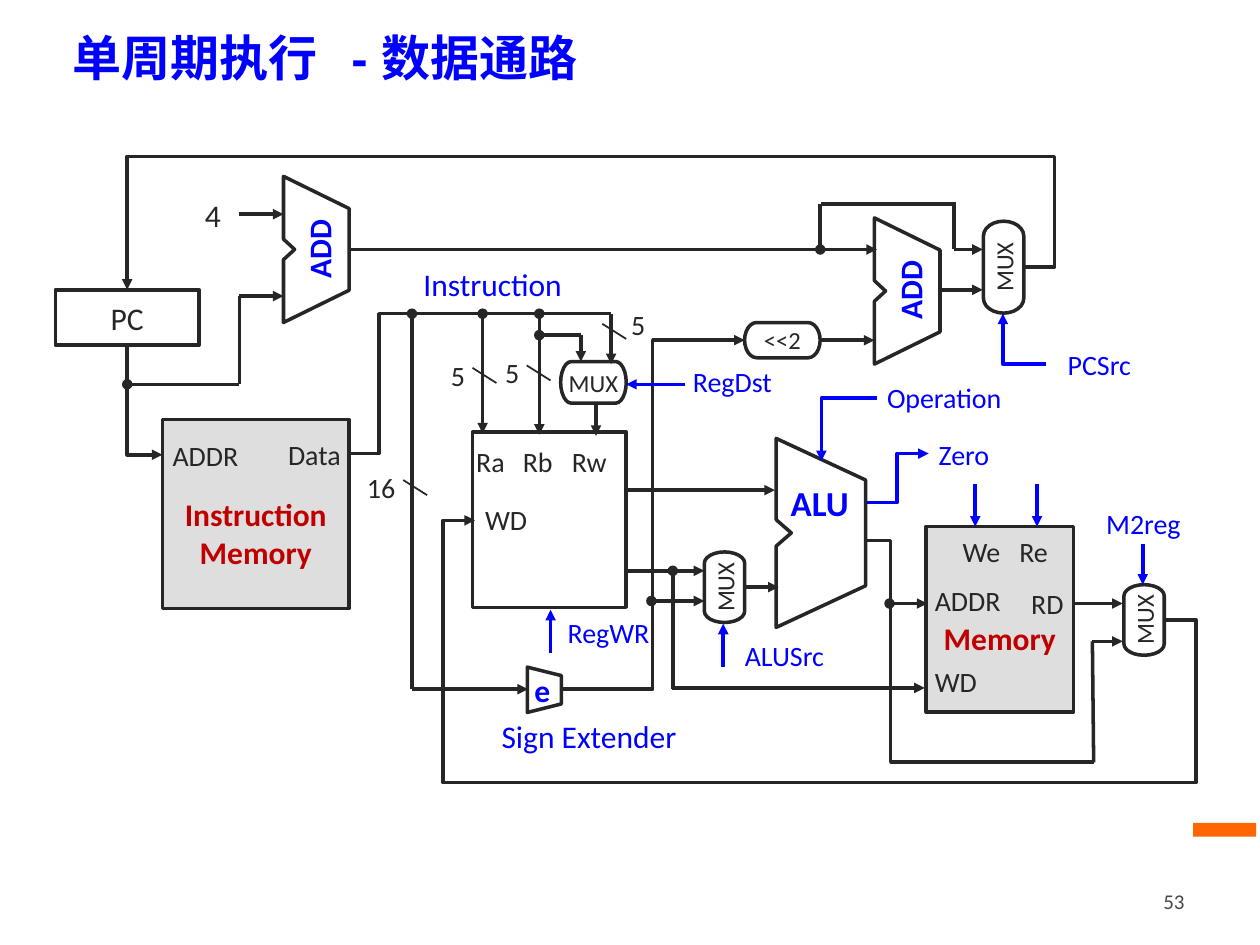
from itertools import count

from lxml import etree
from pptx import Presentation
from pptx import util as u
from pptx.dml.color import RGBColor
from pptx.enum import shapes, text
from pptx.oxml.ns import qn

COLUMNS, ROWS = 10, 7.5
CELL = u.Inches(1)
INK, SIGNAL, STORE, GREY = "262626", "0000FF", "C00000", "DEDEDE"
LEFT, CENTER, RIGHT = text.PP_ALIGN.LEFT, text.PP_ALIGN.CENTER, text.PP_ALIGN.RIGHT
RECT = shapes.MSO_SHAPE.RECTANGLE
PILL = shapes.MSO_SHAPE.FLOWCHART_TERMINATOR


def color(value):
    return RGBColor.from_string(value)


def cells(*values):
    return [round(value * CELL) for value in values]


class Diagram:
    """Style and current slide; lengths are grid columns and rows."""

    font = "Calibri"
    weight = 2

    def __init__(self, slide):
        self.slide = slide

    def set_words(self, shape, words, size=16, ink=INK, bold=False, align=CENTER,
                  insets=(0, 0, 0, 0), tabs=(), font=None):
        frame = shape.text_frame
        frame.text = words
        frame.word_wrap = True
        frame.vertical_anchor = text.MSO_ANCHOR.MIDDLE
        (frame.margin_left, frame.margin_top,
         frame.margin_right, frame.margin_bottom) = cells(*insets)
        for line in frame.paragraphs:
            line.alignment = align
            if tabs:
                stops = etree.SubElement(line._p.get_or_add_pPr(), qn("a:tabLst"))
                for stop in cells(*tabs):
                    etree.SubElement(stops, qn("a:tab"), pos=str(stop), algn="l")
            for run in line.runs:
                run.font.name = font or self.font
                run.font.size = u.Pt(size)
                run.font.bold = bold
                run.font.color.rgb = color(ink)

    def paint(self, shape, fill=None, line=INK):
        shape.shadow.inherit = False
        if fill:
            shape.fill.solid()
            shape.fill.fore_color.rgb = color(fill)
        else:
            shape.fill.background()
        if line:
            shape.line.color.rgb = color(line)
            shape.line.width = u.Pt(self.weight)
        else:
            shape.line.fill.background()

    def block(self, place, words="", kind=RECT, fill=None, line=INK, turn=0, **style):
        shape = self.slide.shapes.add_shape(kind, *cells(*place))
        shape.rotation = turn
        self.paint(shape, fill, line)
        if words:
            self.set_words(shape, words, **style)
        return shape

    def label(self, place, words, turn=0, insets=(0.08, 0, 0, 0), **style):
        box = self.slide.shapes.add_textbox(*cells(*place))
        box.rotation = turn
        self.set_words(box, words, insets=insets, **style)

    def adder(self, left, top, width, height):
        """Trapezoid with a notch halfway down its left side."""
        outline = [(0, 0), (1, 0.22), (1, 0.78), (0, 1),
                   (0, 0.57), (0.17, 0.5), (0, 0.43)]
        points = [cells(left + x * width, top + y * height) for x, y in outline]
        builder = self.slide.shapes.build_freeform(*points[0])
        builder.add_line_segments(points[1:], close=True)
        self.paint(builder.convert_to_shape())

    def wire(self, *route, ink=INK, head=None, tail="triangle", weight=None):
        """Connector along a route that leaves sideways when it has corners."""
        (x0, y0), (x1, y1) = route[0], route[-1]
        bent = len(route) > 2
        kind = shapes.MSO_CONNECTOR.ELBOW if bent else shapes.MSO_CONNECTOR.STRAIGHT
        line = self.slide.shapes.add_connector(kind, *cells(x0, y0, x1, y1))
        line.line.color.rgb = color(ink)
        line.line.width = u.Pt(weight or self.weight)
        properties = line.element.spPr
        if bent:
            preset = properties.find(qn("a:prstGeom"))
            preset.set("prst", f"bentConnector{len(route) - 1}")
            guides = preset.find(qn("a:avLst"))
            # Corners bend at a share of the width and of the height in turn
            for number, (x, y) in zip(count(1), route[1:-2]):
                share = (x - x0) / (x1 - x0) if number % 2 else (y - y0) / (y1 - y0)
                etree.SubElement(guides, qn("a:gd"), name=f"adj{number}",
                                 fmla=f"val {round(share * 100000)}")
        stroke = properties.find(qn("a:ln"))
        for tag, end in (("a:headEnd", head), ("a:tailEnd", tail)):
            if end:
                etree.SubElement(stroke, qn(tag), type=end)
        etree.SubElement(properties, qn("a:effectLst"))


def main():
    deck = Presentation()
    deck.slide_width, deck.slide_height = cells(COLUMNS, ROWS)
    d = Diagram(deck.slides.add_slide(deck.slide_layouts[6]))

    # Title, accent bar and page number
    d.block((9.47, 6.53, 0.5, 0.11), fill="FF6600", line=None)
    d.label((0.48, 0.08, 9.19, 0.75), "单周期执行\t- 数据通路", size=28, ink=SIGNAL,
            bold=True, align=LEFT, insets=(0.1, 0.05, 0.1, 0.05), tabs=(2.21,),
            font="Arial")
    d.label((7.17, 6.95, 2.33, 0.4), "53", size=12, ink="474747", align=RIGHT,
            insets=(0.1, 0.05, 0.1, 0.05))

    # Memories, register file and program counter
    for place, words in [((7.35, 4.18, 1.17, 1.47), "Memory"),
                         ((1.29, 3.33, 1.48, 1.5), "Instruction\nMemory")]:
        d.block(place, words, fill=GREY, size=18, ink=STORE, bold=True,
                insets=(0, 0.3, 0, 0))
    d.block((3.75, 3.43, 1.22, 1.39))
    d.block((0.44, 2.3, 1.14, 0.44), "PC", size=18)

    # Multiplexers, shifter and sign extender
    for place, turn in [((4.45, 2.87, 0.52, 0.33), 0), ((5.47, 4.5, 0.56, 0.32), 270),
                        ((8.8, 4.76, 0.56, 0.32), 270), ((7.6, 1.96, 0.73, 0.32), 270)]:
        d.block(place, "MUX", PILL, turn=turn, size=14)
    d.block((5.91, 2.56, 0.6, 0.28), "<<2", PILL, size=14)
    extender = d.block((4.14, 5.34, 0.36, 0.27), "e", shapes.MSO_SHAPE.TRAPEZOID,
                       turn=90, size=18, ink=SIGNAL, bold=True)
    extender.text_frame._txBody.bodyPr.set("vert", "vert270")

    # Adders and ALU
    for left, top in [(2.25, 1.4), (6.94, 1.73)]:
        d.adder(left, top, 0.52, 1.16)
        d.label((left - 0.12, top + 0.37, 0.8, 0.41), "ADD", turn=270, size=18,
                ink=SIGNAL, bold=True, insets=(0, 0, 0, 0))
    d.adder(6.16, 3.48, 0.71, 1.5)
    d.label((6.15, 3.82, 0.71, 0.34), "ALU", size=20, ink=SIGNAL, bold=True,
            insets=(0, 0, 0, 0))

    # Data wires ending in an arrow
    for route in [
        [(4.85, 2.49), (4.85, 2.89)], [(4.73, 3.19), (4.73, 3.46)],
        [(4.61, 2.66), (4.61, 2.87)], [(5.33, 5.46), (7.34, 5.46)],
        [(4.97, 3.89), (6.15, 3.89)], [(4.97, 4.53), (5.59, 4.53)],
        [(6.51, 2.7), (6.94, 2.7)], [(7.46, 2.3), (7.8, 2.3)],
        [(7.57, 1.98), (7.8, 1.98)], [(2.77, 1.98), (6.96, 1.98)],
        [(3.27, 5.47), (4.19, 5.47)], [(1.9, 2.35), (2.25, 2.35)],
        [(1.9, 1.7), (2.25, 1.7)], [(5.91, 4.66), (6.18, 4.66)],
        [(8.52, 4.79), (8.91, 4.79)], [(8.67, 5.09), (8.91, 5.09)],
        [(4.46, 5.47), (5.18, 5.47), (5.18, 2.7), (5.91, 2.7)],
        [(9.24, 4.92), (9.49, 4.92), (9.49, 6.21), (3.52, 6.21), (3.52, 4.13),
         (3.77, 4.13)],
        [(8.12, 2.12), (8.37, 2.12), (8.37, 1.24), (1.01, 1.24), (1.01, 2.3)],
    ]:
        d.wire(*route)
    d.wire((1.29, 3.61), (1.01, 3.61), (1.01, 2.75), head="triangle", tail=None)

    # Plain data wires
    for route in [
        [(2.77, 3.6), (3.01, 3.6), (3.01, 2.49), (4.85, 2.49)],
        [(6.86, 4.29), (7.07, 4.29), (7.07, 6.05), (8.68, 6.05)],
        [(7.57, 1.98), (7.57, 1.62)], [(6.52, 1.62), (7.59, 1.62)],
        [(1.9, 2.35), (1.9, 3.05)], [(8.67, 5.09), (8.68, 6.05)],
    ]:
        d.wire(*route, tail=None)

    # Branches that start at a junction dot
    for start, end, tail in [
        ((4.28, 2.66), (4.61, 2.66), None), ((4.28, 2.49), (4.28, 3.45), "triangle"),
        ((3.83, 2.49), (3.83, 3.44), "triangle"), ((5.34, 4.53), (5.34, 5.47), None),
        ((6.51, 1.98), (6.51, 1.62), None), ((3.27, 2.49), (3.27, 5.47), None),
        ((1.01, 3.05), (1.9, 3.05), None), ((7.06, 4.79), (7.36, 4.79), "triangle"),
        ((5.17, 4.77), (5.59, 4.77), "triangle"),
    ]:
        d.wire(start, end, head="oval", tail=tail)

    # Control signals
    for route in [
        [(6.88, 3.99), (7.12, 3.99), (7.12, 3.6), (7.37, 3.6)],
        [(6.96, 3.16), (6.52, 3.16), (6.52, 3.66)],
        [(8.3, 2.89), (7.96, 2.89), (7.96, 2.49)],
        [(4.37, 5.18), (4.37, 4.84)], [(5.74, 5.29), (5.74, 4.95)],
        [(9.07, 4.32), (9.07, 4.64)], [(5.44, 3.05), (4.97, 3.05)],
        [(8.23, 3.84), (8.23, 4.18)], [(7.74, 3.84), (7.74, 4.18)],
    ]:
        d.wire(*route, ink=SIGNAL)
    for place, words, align in [
        ((6.96, 2.93, 1.08, 0.45), "Operation", LEFT),
        ((7.37, 3.38, 0.76, 0.45), "Zero", LEFT),
        ((5.42, 2.8, 0.76, 0.45), "RegDst", LEFT),
        ((5.74, 5.03, 0.89, 0.34), "ALUSrc", CENTER),
        ((8.3, 2.72, 0.77, 0.34), "PCSrc", CENTER),
        ((8.65, 3.98, 0.77, 0.34), "M2reg", CENTER),
        ((4.38, 4.85, 0.82, 0.34), "RegWR", CENTER),
    ]:
        d.label(place, words, ink=SIGNAL, align=align)
    for place, words in [((3.13, 2.03, 1.48, 0.45), "Instruction"),
                         ((3.83, 5.64, 1.61, 0.4), "Sign Extender")]:
        d.label(place, words, size=18, ink=SIGNAL)

    # Port names
    for place, words in [((7.34, 5.18, 0.55, 0.45), "WD"), ((3.77, 3.9, 0.55, 0.45), "WD"),
                         ((7.34, 4.54, 0.76, 0.45), "ADDR"),
                         ((1.29, 3.39, 0.76, 0.45), "ADDR")]:
        d.label(place, words, align=LEFT)
    d.label((7.97, 4.56, 0.55, 0.45), "RD", align=RIGHT, insets=(0, 0, 0.08, 0))
    d.label((2.25, 3.38, 0.49, 0.45), "Data", insets=(0, 0, 0, 0))
    d.label((1.5, 1.48, 0.38, 0.45), "4", size=18, insets=(0, 0, 0, 0))
    d.label((3.75, 3.44, 1.1, 0.45), "Ra\tRb\tRw", align=LEFT,
            insets=(0.03, 0, 0, 0), tabs=(0.37, 0.76))
    d.label((7.35, 4.24, 1.17, 0.27), "We\tRe", align=LEFT,
            insets=(0.29, 0, 0, 0), tabs=(0.45,))

    # Bus widths: a slash with its number to the left or right
    for x, y, bits, left, top, width in [
        (3.75, 2.92, "5", 3.43, 2.75, 0.33), (4.18, 2.9, "5", 3.86, 2.73, 0.33),
        (4.78, 2.57, "5", 4.86, 2.35, 0.33), (3.2, 3.81, "16", 2.77, 3.64, 0.43),
    ]:
        d.wire((x, y), (x + 0.19, y + 0.12), tail=None, weight=1)
        d.label((left, top, width, 0.45), bits)

    deck.save("out.pptx")


if __name__ == "__main__":
    main()
